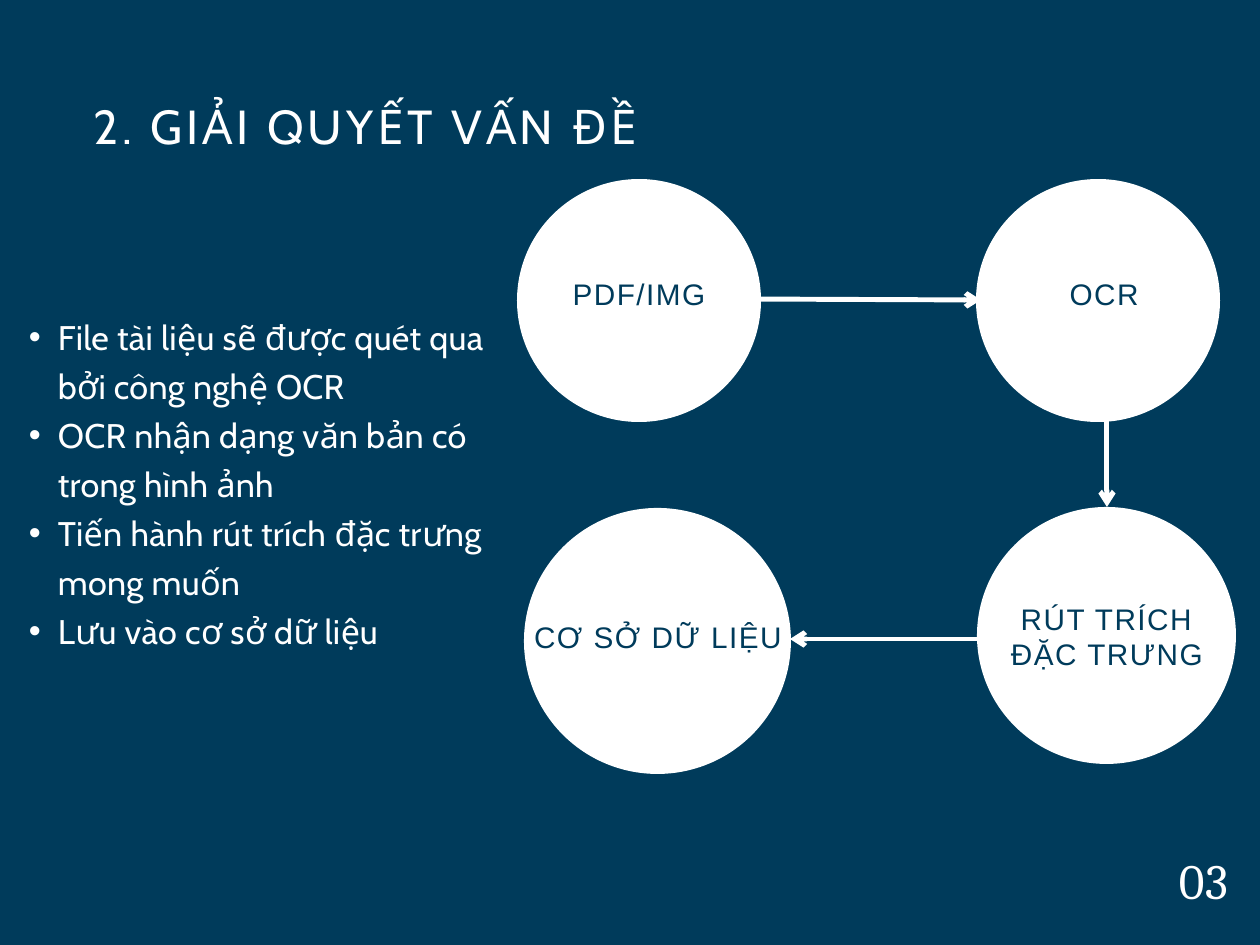
import pptx
import pptx.dml.color
import pptx.enum.shapes
import pptx.enum.text
import pptx.oxml
import pptx.oxml.ns
import pptx.util
import lxml.etree

PX = 7741
WIDTH, HEIGHT = 1260, 945
NAVY, WHITE = "003B5B", "FFFFFF"
ALIGN = pptx.enum.text.PP_ALIGN

TITLE = "2. GIẢI QUYẾT VẤN ĐỀ"
PAGE_NUMBER = "03"
BULLETS = [
    "File tài liệu sẽ được quét qua bởi công nghệ OCR",
    "OCR nhận dạng văn bản có trong hình ảnh",
    "Tiến hành rút trích đặc trưng mong muốn",
    "Lưu vào cơ sở dữ liệu",
]
STEPS = [
    ("PDF/IMG", (517, 179, 244, 243), (515, 276, 248, 40)),
    ("OCR", (976, 179, 244, 243), (980, 276, 248, 40)),
    ("RÚT TRÍCH ĐẶC TRƯNG", (977, 507, 259, 257), (983, 601, 248, 74)),
    ("CƠ SỞ DỮ LIỆU", (524, 508, 267, 266), (534, 619, 248, 74)),
]
ARROWS = [(746, 299, 981, 300), (1107, 413, 1107, 507), (990, 639, 790, 639)]

STYLES = {
    "title": dict(font="Cabin", size=29.1, color=WHITE, spacing=230, line=40.7, align=ALIGN.LEFT),
    "body": dict(font="Cabin", size=20.8, color=WHITE, spacing=20, line=29.9, align=ALIGN.LEFT),
    "label": dict(font="Arial", size=18.1, color=NAVY, spacing=90, line=21.4, align=ALIGN.CENTER),
    "number": dict(font="Cambria", size=30.2, color=WHITE, spacing=30, line=32.6, align=ALIGN.RIGHT),
}
FRAME = dict(margin_left=0, margin_top=0, margin_right=0, margin_bottom=0, word_wrap=True,
             auto_size=pptx.enum.text.MSO_AUTO_SIZE.NONE,
             vertical_anchor=pptx.enum.text.MSO_ANCHOR.TOP)


def emu(lengths):
    return [length * PX for length in lengths]


def rgb(color):
    return pptx.dml.color.RGBColor.from_string(color)


def set_all(target, values):
    for name, value in values.items():
        setattr(target, name, value)


def add_bullet(para):
    properties = para._p.get_or_add_pPr()
    properties.set("marL", str(58 * PX))
    properties.set("indent", str(-29 * PX))
    for tag, name, value in (("a:buFont", "typeface", "Arial"), ("a:buChar", "char", "•")):
        bullet = lxml.etree.SubElement(properties, pptx.oxml.ns.qn(tag))
        bullet.set(name, value)


def write(shape, lines, style_name, bulleted=False):
    style = STYLES[style_name]
    frame = shape.text_frame
    set_all(frame, FRAME)
    for index, line in enumerate(lines):
        para = frame.add_paragraph() if index else frame.paragraphs[0]
        set_all(para, dict(alignment=style["align"], line_spacing=pptx.util.Pt(style["line"]),
                           space_before=0, space_after=0))
        if bulleted:
            add_bullet(para)
        span = para.add_run()
        span.text = line
        set_all(span.font, dict(name=style["font"], size=pptx.util.Pt(style["size"])))
        span.font.color.rgb = rgb(style["color"])
        span._r.get_or_add_rPr().set("spc", str(style["spacing"]))


def add_text(page, place, lines, style_name, bulleted=False):
    write(page.shapes.add_textbox(*emu(place)), lines, style_name, bulleted)


def add_circle(page, place):
    circle = page.shapes.add_shape(pptx.enum.shapes.MSO_SHAPE.OVAL, *emu(place))
    circle.shadow.inherit = False
    circle.fill.solid()
    circle.fill.fore_color.rgb = rgb(WHITE)
    circle.line.fill.background()


def add_arrow(page, ends):
    arrow = page.shapes.add_connector(pptx.enum.shapes.MSO_CONNECTOR.STRAIGHT, *emu(ends))
    arrow.line.color.rgb = rgb(WHITE)
    arrow.line.width = pptx.util.Pt(3)
    head = lxml.etree.SubElement(arrow.line._get_or_add_ln(), pptx.oxml.ns.qn("a:tailEnd"))
    head.set("type", "arrow")
    lxml.etree.SubElement(arrow._element.spPr, pptx.oxml.ns.qn("a:effectLst"))


def main():
    deck = pptx.Presentation()
    deck.slide_width, deck.slide_height = emu((WIDTH, HEIGHT))
    page = deck.slides.add_slide(deck.slide_layouts[5])
    page.background.fill.solid()
    page.background.fill.fore_color.rgb = rgb(NAVY)

    title = page.shapes.title
    set_all(title, dict(zip(("left", "top", "width", "height"), emu((94, 87, 763, 64)))))
    write(title, [TITLE], "title")

    for label, circle_place, label_place in STEPS:
        add_circle(page, circle_place)
        add_text(page, label_place, [label], "label")
    for ends in ARROWS:
        add_arrow(page, ends)
    add_text(page, (0, 308, 498, 334), BULLETS, "body", bulleted=True)
    add_text(page, (1122, 856, 106, 54), [PAGE_NUMBER], "number")
    deck.save("out.pptx")


if __name__ == "__main__":
    main()
